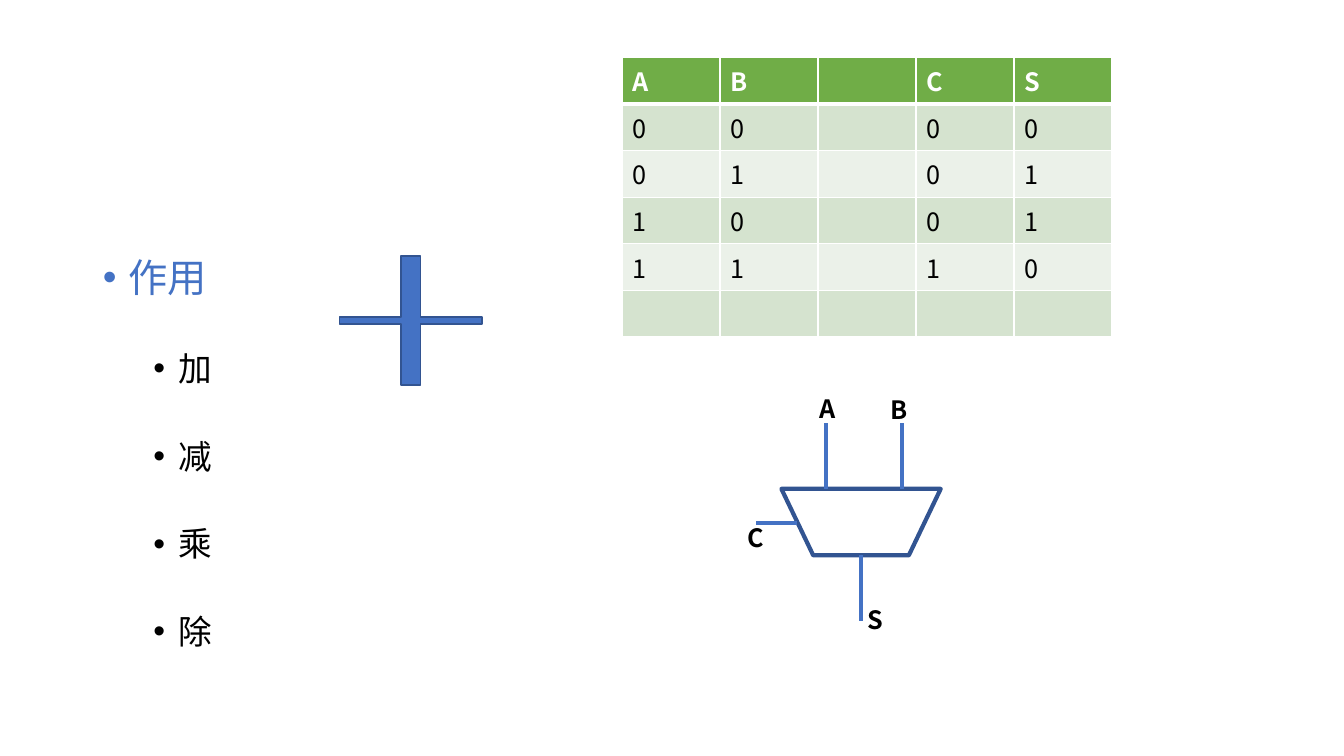
from dataclasses import dataclass

from lxml import etree
from pptx import Presentation
from pptx import util as u
from pptx.dml.color import RGBColor
from pptx.enum import shapes, text
from pptx.oxml import ns

PX = 9144
FONT = "Noto Sans CJK SC"
BLUE = RGBColor(0x44, 0x72, 0xC4)
NAVY = RGBColor(0x32, 0x54, 0x91)
GREEN = RGBColor(0x70, 0xAD, 0x47)
SAGE = RGBColor(0xD5, 0xE3, 0xCF)
PALE = RGBColor(0xEB, 0xF1, 0xE9)
BLACK = RGBColor(0, 0, 0)
WHITE = RGBColor(0xFF, 0xFF, 0xFF)


@dataclass
class Item:
    word: str
    level: int
    size: int
    color: RGBColor
    left: int
    gap: int


@dataclass
class Wire:
    x1: int
    y1: int
    x2: int
    y2: int


@dataclass
class Label:
    word: str
    x: int
    y: int
    w: int


ITEMS = [Item("作用", 0, 28, BLUE, 25, 10)]
ITEMS += [Item(word, 1, 24, BLACK, 75, 5) for word in "加减乘除"]
ROWS = ["AB CS", "00 00", "01 01", "10 01", "11 10", " " * 5]
WIRES = [
    Wire(895, 420, 895, 485),
    Wire(819, 420, 819, 485),
    Wire(854, 551, 854, 616),
    Wire(790, 519, 750, 519),
]
LABELS = [
    Label("S", 851, 595, 34),
    Label("C", 732, 513, 36),
    Label("B", 873, 386, 35),
    Label("A", 803, 385, 37),
]


def px(*vals: int) -> list[u.Emu]:
    return [u.Emu(val * PX) for val in vals]


def add_run(para, word: str, size: int, color: RGBColor, bold: bool = False) -> None:
    run = para.add_run()
    run.text = word
    run.font.size = u.Pt(size)
    run.font.bold = bold
    run.font.color.rgb = color
    run.font.name = FONT
    props = run._r.get_or_add_rPr()
    etree.SubElement(props, ns.qn("a:ea"), typeface=FONT)


def add_list(slide) -> None:
    title = slide.shapes.title
    title.element.getparent().remove(title.element)
    body = slide.placeholders[1]
    body.left, body.top, body.width, body.height = px(92, 200, 1150, 476)
    frame = body.text_frame
    frame.auto_size = text.MSO_AUTO_SIZE.NONE
    for num, item in enumerate(ITEMS):
        para = frame.add_paragraph() if num else frame.paragraphs[0]
        para.level = item.level
        para.line_spacing = 2.0
        para.space_before = u.Pt(item.gap)
        props = para._p.get_or_add_pPr()
        props.set("marL", str(item.left * PX))
        props.set("indent", str(-25 * PX))
        etree.SubElement(props, ns.qn("a:buFont"), typeface="Arial")
        etree.SubElement(props, ns.qn("a:buChar"), char="•")
        add_run(para, item.word, item.size, item.color)


def add_form(group, kind, box: list[u.Emu], width: int):
    form = group.add_shape(kind, *box)
    form.shadow.inherit = False
    form.fill.background()
    form.line.color.rgb = NAVY
    form.line.width = u.Pt(width)
    return form


def add_edge(cell, side: str, width: int) -> None:
    props = cell._tc.get_or_add_tcPr()
    line = etree.SubElement(props, ns.qn("a:ln" + side), w=str(u.Pt(width)))
    fill = etree.SubElement(line, ns.qn("a:solidFill"))
    etree.SubElement(fill, ns.qn("a:srgbClr"), val=str(WHITE))


def add_truth(slide) -> None:
    high = 46
    frame = slide.shapes.add_table(
        len(ROWS), len(ROWS[0]), *px(617, 57, 486, high * len(ROWS))
    )
    for row, words in enumerate(ROWS):
        head = row == 0
        for col, word in enumerate(words):
            cell = frame.table.cell(row, col)
            for side in "LRTB":
                thick = (row, side) in ((0, "B"), (1, "T"))
                add_edge(cell, side, 3 if thick else 1)
            cell.fill.solid()
            cell.fill.fore_color.rgb = GREEN if head else SAGE if row % 2 else PALE
            if word.strip():
                para = cell.text_frame.paragraphs[0]
                add_run(para, word, 18, WHITE if head else BLACK, head)


def add_wire(group, wire: Wire) -> None:
    line = group.add_connector(
        shapes.MSO_CONNECTOR.STRAIGHT, *px(wire.x1, wire.y1, wire.x2, wire.y2)
    )
    line.line.color.rgb = BLUE
    line.line.width = u.Pt(3)
    etree.SubElement(line.element.spPr, ns.qn("a:effectLst"))


def add_label(group, label: Label) -> None:
    box = group.add_textbox(*px(label.x, label.y, label.w, 40))
    frame = box.text_frame
    frame.word_wrap = False
    frame.auto_size = text.MSO_AUTO_SIZE.SHAPE_TO_FIT_TEXT
    add_run(frame.paragraphs[0], label.word, 18, BLACK, True)


def main() -> None:
    deck = Presentation()
    deck.slide_width, deck.slide_height = px(1333, 750)
    slide = deck.slides.add_slide(deck.slide_layouts[1])
    add_list(slide)
    plus = add_form(slide.shapes, shapes.MSO_SHAPE.CROSS, px(337, 254, 141, 128), 1)
    plus.adjustments[0] = 0.47
    plus.adjustments[0] = 0.474
    plus.fill.solid()
    plus.fill.fore_color.rgb = BLUE
    add_truth(slide)
    group = slide.shapes.add_group_shape().shapes
    kind = shapes.MSO_SHAPE.FLOWCHART_MANUAL_OPERATION
    add_form(group, kind, px(775, 485, 158, 66), 3)
    for wire in WIRES:
        add_wire(group, wire)
    for label in LABELS:
        add_label(group, label)
    deck.save("out.pptx")


if __name__ == "__main__":
    main()
